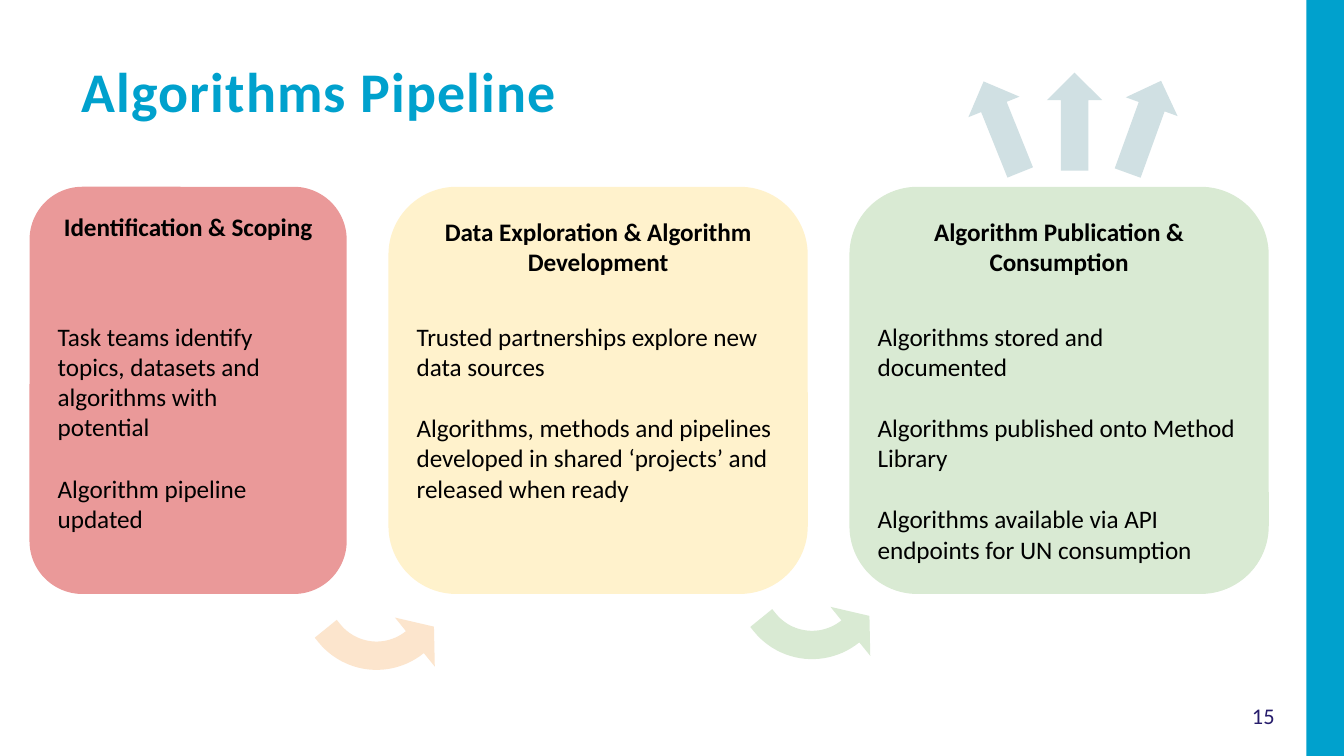
"""Build the Algorithms Pipeline slide."""
from typing import NamedTuple

from pptx import Presentation
from pptx.dml.color import RGBColor
from pptx.enum.shapes import MSO_SHAPE as Shape
from pptx.enum.text import MSO_ANCHOR as Anchor, PP_ALIGN as Align
from pptx.oxml.ns import qn
from pptx.util import Inches, Pt

CYAN = RGBColor(0x00, 0xA1, 0xCD)
NAVY = RGBColor(0x27, 0x1D, 0x6C)
BLACK = RGBColor(0x00, 0x00, 0x00)
RED = RGBColor(0xEA, 0x99, 0x99)
YELLOW = RGBColor(0xFF, 0xF2, 0xCC)
GREEN = RGBColor(0xD9, 0xEA, 0xD3)
PEACH = RGBColor(0xFC, 0xE5, 0xCD)
GREY = RGBColor(0xD0, 0xE0, 0xE3)

FONT = "Calibri"
TEXT_SIZE = 13.5
PARAGRAPH_GAP = 16.5
INSET = 0.07
SLIDE_WIDTH = 10
SLIDE_HEIGHT = SLIDE_WIDTH * 9 / 16
STAGE_LEFT, STAGE_TOP, STAGE_HEIGHT, STAGE_GAP = 0.22, 1.39, 3.03, 0.31
BODY_TOP, BODY_HEIGHT, BODY_INDENT = 2.32, 2.57, 0.14


class Stage(NamedTuple):
    width: float
    body_width: float
    color: RGBColor
    heading: str
    points: list[str]


class Arrow(NamedTuple):
    kind: Shape
    left: float
    top: float
    width: float
    rotation: float
    color: RGBColor
    adjustments: tuple[float, ...]
    flipped: bool = False


STAGES = [
    Stage(2.36, 2.03, RED, "Identification & Scoping", [
        "Task teams identify topics, datasets and algorithms with potential",
        "Algorithm pipeline updated",
    ]),
    Stage(3.12, 2.81, YELLOW, "Data Exploration & Algorithm Development", [
        "Trusted partnerships explore new data sources",
        "Algorithms, methods and pipelines developed in shared ‘projects’ "
        "and released when ready",
    ]),
    Stage(3.12, 2.81, GREEN, "Algorithm Publication & Consumption", [
        "Algorithms stored and documented",
        "Algorithms published onto Method Library",
        "Algorithms available via API endpoints for UN consumption",
    ]),
]

BEND = (0.289, 0.322, 0.25, 0.862)
HALF = (0.5, 0.5)
ARROWS = [
    Arrow(Shape.BENT_ARROW, 2.49, 4.43, 0.74, 140.9, PEACH, BEND, True),
    Arrow(Shape.BENT_ARROW, 5.73, 4.35, 0.74, 140.9, GREEN, BEND, True),
    Arrow(Shape.UP_ARROW, 7.79, 0.54, 0.41, 0, GREY, HALF),
    Arrow(Shape.UP_ARROW, 8.31, 0.58, 0.41, 19.9, GREY, HALF),
    Arrow(Shape.UP_ARROW, 7.25, 0.58, 0.41, 338.1, GREY, HALF),
]


def add_filled(s, kind: Shape, left: float, top: float, width: float,
               height: float, color: RGBColor):
    """Add a preset shape with a plain fill and no line."""
    sp = s.shapes.add_shape(kind, Inches(left), Inches(top),
                            Inches(width), Inches(height))
    sp.shadow.inherit = False
    sp.fill.solid()
    sp.fill.fore_color.rgb = color
    sp.line.fill.background()
    return sp


def add_box(s, left: float, top: float, width: float, height: float):
    """Add an empty text box."""
    return s.shapes.add_textbox(Inches(left), Inches(top),
                                Inches(width), Inches(height))


def write(sp, lines: list[str], size: float = TEXT_SIZE,
          color: RGBColor = BLACK, bold: bool = False,
          align: Align = Align.LEFT, anchor: Anchor = Anchor.TOP,
          gap: float = 0) -> None:
    """Write one paragraph per line and format its runs."""
    tf = sp.text_frame
    tf.word_wrap = True
    tf.vertical_anchor = anchor
    tf.text = "\n".join(lines)
    for p in tf.paragraphs:
        p.alignment = align
        p.space_after = Pt(gap)
        for r in p.runs:
            r.font.name = FONT
            r.font.size = Pt(size)
            r.font.bold = bold
            r.font.color.rgb = color


def set_insets(sp) -> None:
    """Give all four text margins the same width."""
    tf = sp.text_frame
    tf.margin_left = tf.margin_right = Inches(INSET)
    tf.margin_top = tf.margin_bottom = Inches(INSET)


def add_stage(s, stage: Stage, left: float) -> None:
    """Draw a stage panel with its heading and points."""
    panel = add_filled(s, Shape.ROUNDED_RECTANGLE, left, STAGE_TOP,
                       stage.width, STAGE_HEIGHT, stage.color)
    panel.adjustments[0] = 0.167
    set_insets(panel)
    write(panel, [stage.heading], bold=True, align=Align.CENTER)
    body = add_box(s, left + BODY_INDENT, BODY_TOP,
                   stage.body_width, BODY_HEIGHT)
    set_insets(body)
    write(body, stage.points, gap=PARAGRAPH_GAP)


def add_arrow(s, arrow: Arrow) -> None:
    """Draw a block arrow."""
    sp = add_filled(s, arrow.kind, arrow.left, arrow.top, arrow.width, 0.73,
                    arrow.color)
    for i, value in enumerate(arrow.adjustments):
        sp.adjustments[i] = value
    sp.rotation = arrow.rotation
    if arrow.flipped:
        sp._element.spPr.find(qn("a:xfrm")).set("flipH", "1")


def main() -> None:
    """Build and save the slide."""
    prs = Presentation()
    prs.slide_width = Inches(SLIDE_WIDTH)
    prs.slide_height = Inches(SLIDE_HEIGHT)
    s = prs.slides.add_slide(prs.slide_layouts[6])

    add_filled(s, Shape.RECTANGLE, 9.72, 0, 0.28, SLIDE_HEIGHT, CYAN)
    write(add_box(s, 9.08, 5.15, 0.64, 0.35), ["15"], 12, NAVY,
          align=Align.CENTER, anchor=Anchor.MIDDLE)
    title = add_box(s, 0.51, 0.37, 8.35, 1.18)
    write(title, ["Algorithms Pipeline"], 30, CYAN, bold=True)
    title.text_frame.paragraphs[0].runs[0].font._element.set("spc", "60")

    left = STAGE_LEFT
    for stage in STAGES:
        add_stage(s, stage, left)
        left += stage.width + STAGE_GAP
    for arrow in ARROWS:
        add_arrow(s, arrow)

    prs.save("out.pptx")


if __name__ == "__main__":
    main()
